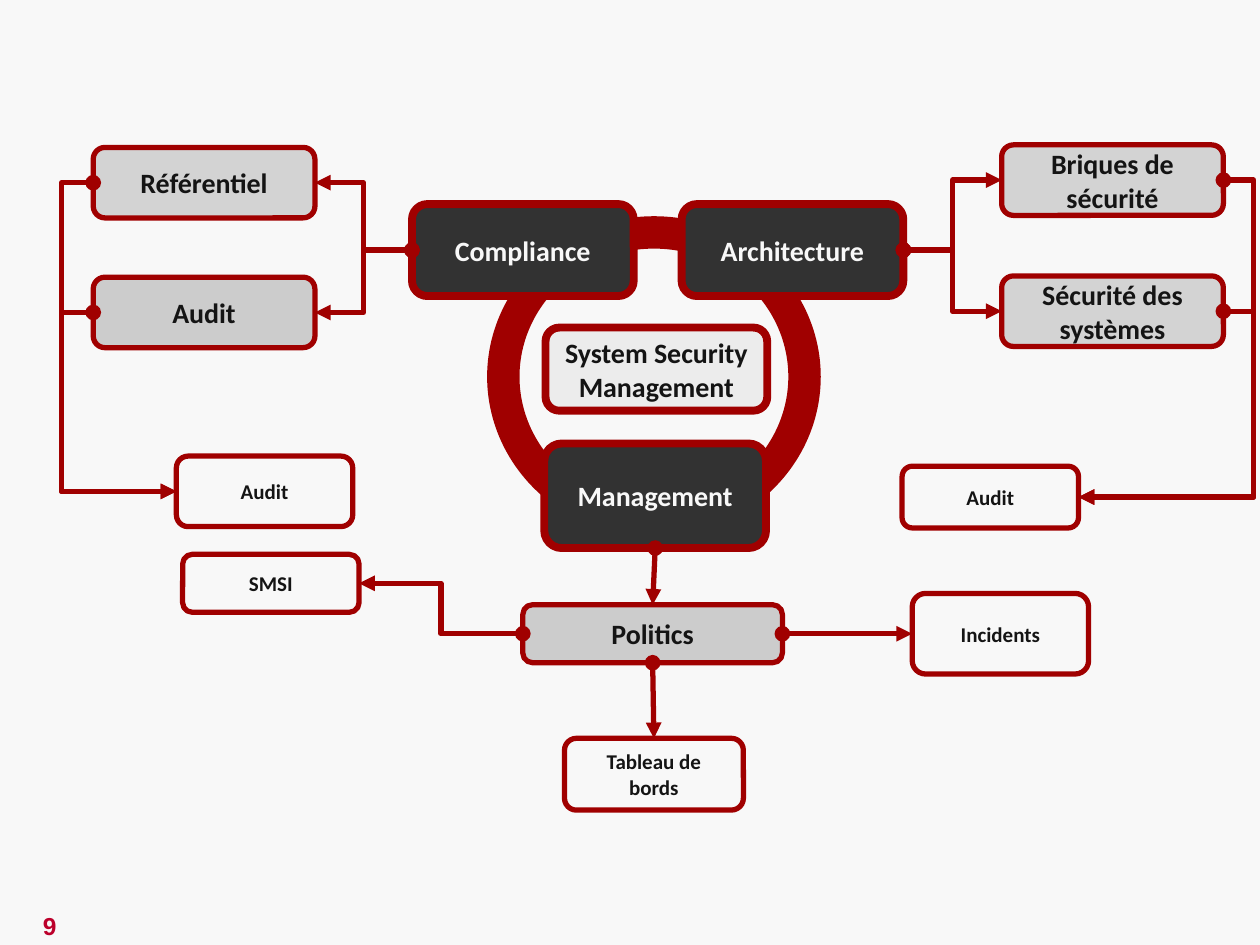
from lxml.etree import SubElement
from pptx import Presentation
from pptx.dml.color import RGBColor
from pptx.enum.shapes import MSO_CONNECTOR as Line, MSO_SHAPE as Shape
from pptx.enum.text import MSO_ANCHOR as Anchor, PP_ALIGN as Align
from pptx.oxml.ns import qn
from pptx.util import Inches, Pt

RED, INK, PAPER = "A00000", "141414", "F8F8F8"
TOP, LEFT, BOTTOM, RIGHT = range(4)

# style: fill, font colour, font size, border width
STYLES = {
    "pillar": ("323232", PAPER, 16, 4.5),
    "centre": ("ECECEC", INK, 16, 4.5),
    "topic": ("D3D3D3", INK, 16, 3),
    "topic_dark": ("CCCCCC", INK, 16, 3),
    "leaf": (PAPER, INK, 12, 3),
}
BOXES = {
    "compliance": ("Compliance", "pillar", 3.27, 1.62, 1.76, 0.73),
    "architecture": ("Architecture", "pillar", 5.41, 1.62, 1.76, 0.73),
    "management": ("Management", "pillar", 4.32, 3.52, 1.76, 0.83),
    "politics": ("Politics", "topic_dark", 4.15, 4.8, 2.06, 0.46),
    "bricks": ("Briques de sécurité", "topic", 7.95, 1.15, 1.76, 0.56),
    "systems": ("Sécurité des systèmes", "topic", 7.95, 2.19, 1.76, 0.56),
    "left_audit": ("Audit", "leaf", 1.4, 3.62, 1.4, 0.56),
    "audit": ("Audit", "topic_dark", 0.74, 2.2, 1.76, 0.56),
    "reference": ("Référentiel", "topic", 0.74, 1.17, 1.76, 0.56),
    "centre": ("System Security\nManagement", "centre", 4.33, 2.6, 1.76, 0.66),
    "incidents": ("Incidents", "leaf", 7.24, 4.71, 1.4, 0.64),
    "dashboard": ("Tableau de bords", "leaf", 4.48, 5.86, 1.42, 0.57),
    "right_audit": ("Audit", "leaf", 7.16, 3.7, 1.4, 0.49),
    "smsi": ("SMSI", "leaf", 1.45, 4.4, 1.4, 0.46),
}
LEFT_LANE, RIGHT_LANE = 0.49, 9.95
ELBOWS = [
    ("architecture", RIGHT, "bricks", LEFT, None),
    ("architecture", RIGHT, "systems", LEFT, None),
    ("compliance", LEFT, "reference", RIGHT, None),
    ("compliance", LEFT, "audit", RIGHT, None),
    ("reference", LEFT, "left_audit", LEFT, LEFT_LANE),
    ("audit", LEFT, "left_audit", LEFT, LEFT_LANE),
    ("bricks", RIGHT, "right_audit", RIGHT, RIGHT_LANE),
    ("systems", RIGHT, "right_audit", RIGHT, RIGHT_LANE),
    ("politics", LEFT, "smsi", RIGHT, None),
    ("politics", RIGHT, "incidents", LEFT, None),
]
STRAIGHTS = [("politics", "dashboard"), ("management", "politics")]


def rgb(value):
    """Return the colour for a hex string."""
    return RGBColor.from_string(value)


def write(shape, text, font_name, size, colour):
    """Put centred bold text into a shape."""
    frame = shape.text_frame
    frame.word_wrap = True
    frame.vertical_anchor = Anchor.MIDDLE
    frame.text = text
    for paragraph in frame.paragraphs:
        paragraph.alignment = Align.CENTER
        font = paragraph.font
        font.name, font.size, font.bold = font_name, Pt(size), True
        font.color.rgb = rgb(colour)


def add_outlined(slide, kind, place, fill, width):
    """Add a filled shape with a red border."""
    shape = slide.shapes.add_shape(kind, *map(Inches, place))
    shape.shadow.inherit = False
    shape.fill.solid()
    shape.fill.fore_color.rgb = rgb(fill)
    shape.line.color.rgb = rgb(RED)
    shape.line.width = Pt(width)
    return shape


def add_link(slide, kind, source, source_side, target, target_side):
    """Join two boxes with a red arrow that starts with a dot."""
    link = slide.shapes.add_connector(kind, 0, 0, 0, 0)
    link.begin_connect(source, source_side)
    link.end_connect(target, target_side)
    link.line.color.rgb = rgb(RED)
    link.line.width = Pt(3)
    line = link.line._get_or_add_ln()
    SubElement(line, qn("a:headEnd"), type="oval")
    SubElement(line, qn("a:tailEnd"), type="triangle")
    SubElement(link._element.spPr, qn("a:effectLst"))
    return link


def bend_at(link, lane):
    """Move the upright part of an elbow to the given lane."""
    share = (Inches(lane) - link.begin_x) / (link.end_x - link.begin_x)
    geometry = link._element.spPr.find(qn("a:prstGeom"))
    guides = geometry.find(qn("a:avLst"))
    SubElement(guides, qn("a:gd"), name="adj1", fmla=f"val {round(share * 100000)}")


def main():
    """Build the security management map."""
    deck = Presentation()
    deck.slide_width, deck.slide_height = Inches(10), Inches(7.5)
    slide = deck.slides.add_slide(deck.slide_layouts[6])
    slide.background.fill.solid()
    slide.background.fill.fore_color.rgb = rgb(PAPER)

    page_number = slide.shapes.add_textbox(*map(Inches, (-0.02, 7.18, 0.83, 0.34)))
    write(page_number, "9", "Arial", 14, "BC002B")

    ring = add_outlined(slide, Shape.DONUT, (3.88, 1.73, 2.62, 2.52), RED, 2)
    ring.adjustments[0] = 0.091

    boxes = {}
    for key, (text, style, *place) in BOXES.items():
        fill, ink, size, border = STYLES[style]
        boxes[key] = add_outlined(slide, Shape.ROUNDED_RECTANGLE, place, fill, border)
        write(boxes[key], text, "Calibri", size, ink)

    for source, source_side, target, target_side, lane in ELBOWS:
        link = add_link(slide, Line.ELBOW, boxes[source], source_side, boxes[target], target_side)
        if lane is not None:
            bend_at(link, lane)
    for source, target in STRAIGHTS:
        add_link(slide, Line.STRAIGHT, boxes[source], BOTTOM, boxes[target], TOP)

    deck.save("out.pptx")


if __name__ == "__main__":
    main()
